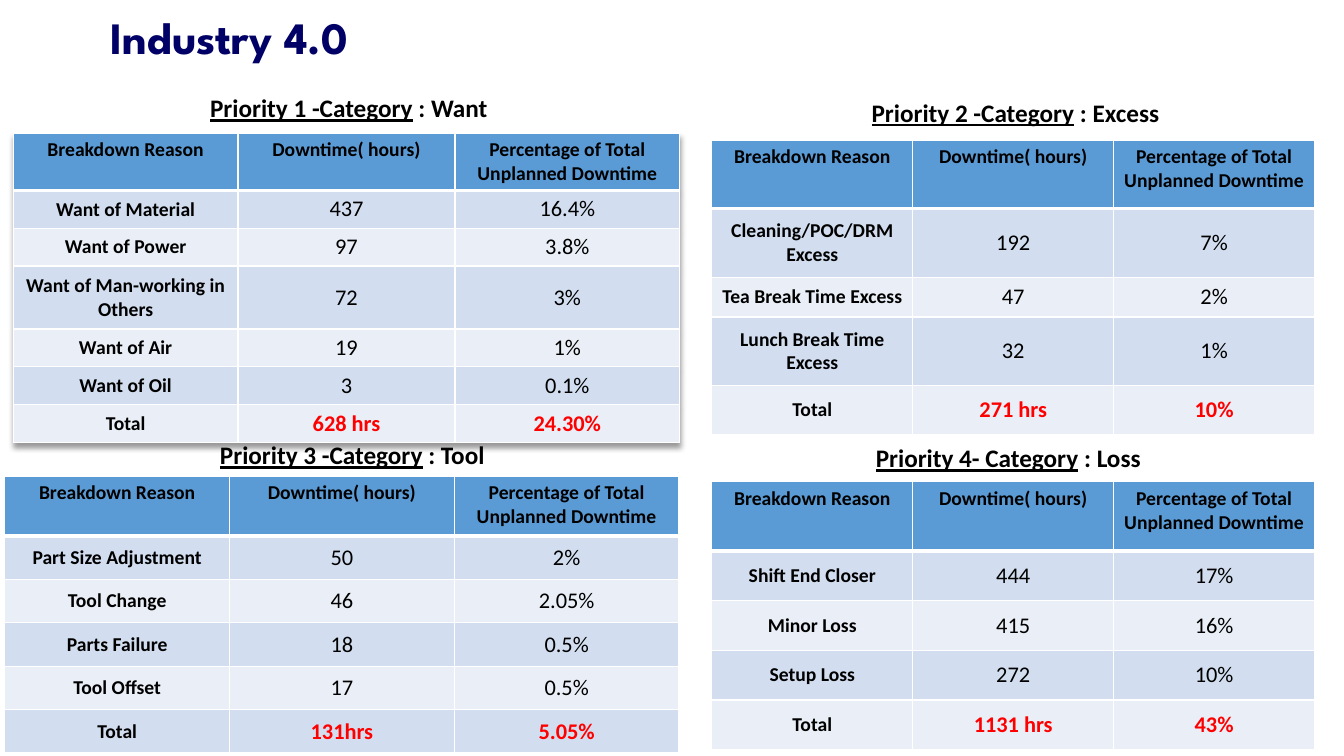
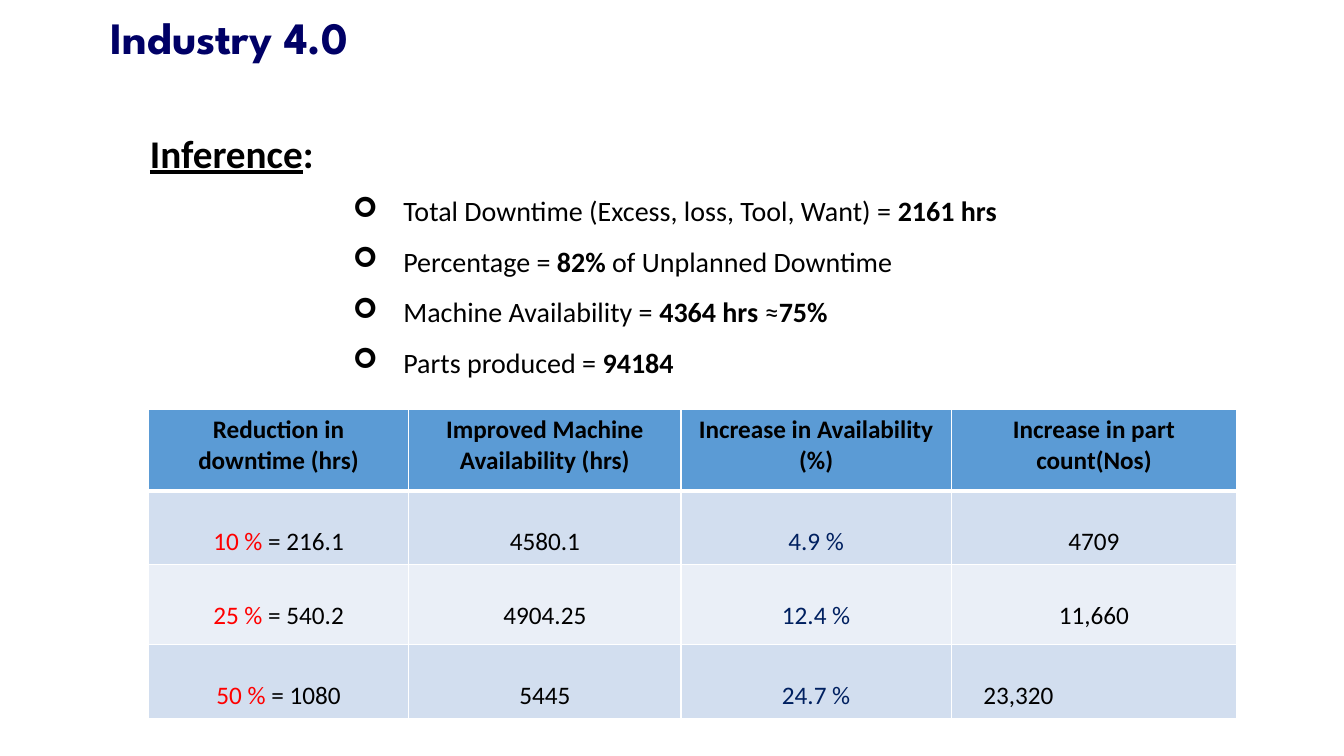
from lxml import etree
from pptx import Presentation
from pptx.dml.color import RGBColor
from pptx.enum.text import MSO_ANCHOR, PP_ALIGN
from pptx.oxml.ns import qn
from pptx.util import Pt

TOP, MIDDLE = MSO_ANCHOR.TOP, MSO_ANCHOR.MIDDLE
LEFT, CENTER = PP_ALIGN.LEFT, PP_ALIGN.CENTER
BLANK_LAYOUT = 6

COLORS = {
    "title": "000066",
    "text": "000000",
    "red": "FF0000",
    "navy": "002060",
    "header": "5B9BD5",
    "odd_row": "D2DEEF",
    "even_row": "EAEFF7",
    "border": "FFFFFF",
}
BODY_FONT, TITLE_FONT = "Calibri", "League Spartan"
DOWNTIME_HEADER = ["Breakdown Reason", "Downtime( hours)",
                   "Percentage of Total Unplanned Downtime"]

# Heading: left, top, width, underlined text, rest.
# Table: left, top, column widths, row heights, rows.
PRIORITIES = [
    {
        "heading": (143, 62.5, 236, "Priority 1 -Category", " : Want"),
        "table": (9.5, 95, [160.5, 155, 160.5], [41, 27, 27, 45, 27, 27, 27]),
        "rows": [("Want of Material", "437", "16.4%"),
                 ("Want of Power", "97", "3.8%"),
                 ("Want of Man-working in Others", "72", "3%"),
                 ("Want of Air", "19", "1%"),
                 ("Want of Oil", "3", "0.1%"),
                 ("Total", "628 hrs", "24.30%")],
        "shadow": True,
    },
    {
        "heading": (615.5, 66, 224, "Priority 2 -Category", " : Excess"),
        "table": (508.5, 100, [143.5] * 3, [49, 49, 28.5, 49, 35]),
        "rows": [("Cleaning/POC/DRM Excess", "192", "7%"),
                 ("Tea Break Time Excess", "47", "2%"),
                 ("Lunch Break Time Excess", "32", "1%"),
                 ("Total", "271 hrs", "10%")],
    },
    {
        "heading": (150, 310.5, 223, "Priority 3 -Category", " : Tool"),
        "table": (3.5, 340, [160.5] * 3, [43] + [31] * 5),
        "rows": [("Part Size Adjustment", "50", "2%"),
                 ("Tool Change", "46", "2.05%"),
                 ("Parts Failure", "18", "0.5%"),
                 ("Tool Offset", "17", "0.5%"),
                 ("Total", "131hrs", "5.05%")],
    },
    {
        "heading": (618.5, 312.5, 249, "Priority 4- Category", " : Loss"),
        "table": (508.5, 344, [143.5] * 3, [49.5] + [35.5] * 4),
        "rows": [("Shift End Closer", "444", "17%"),
                 ("Minor Loss", "415", "16%"),
                 ("Setup Loss", "272", "10%"),
                 ("Total", "1131 hrs", "43%")],
    },
]

# Each finding is a list of (text, bold) pairs
FINDINGS = [
    [("Total Downtime (Excess, loss, Tool, Want) = ", False), ("2161 hrs", True)],
    [("Percentage = ", False), ("82% ", True), ("of Unplanned Downtime", False)],
    [("Machine Availability = ", False), ("4364 hrs ", True), ("≈", False),
     ("75%", True)],
    [("Parts produced = ", False), ("94184", True)],
]

GAIN_HEADER = ["Reduction in downtime (hrs)", "Improved Machine Availability (hrs)",
               "Increase in Availability (%)", "Increase in part count(Nos)"]
GAINS = [
    ("10 %", " = 216.1", "4580.1", "4.9 %", "4709"),
    ("25 %", " = 540.2", "4904.25", "12.4 %", "11,660"),
    ("50 %", " = 1080", "5445", "24.7 %", "23,320"),
]


# Text
def add_run(paragraph, text, size, bold=False, color="text", underline=False,
            font=BODY_FONT):
    run = paragraph.add_run()
    run.text = text
    run.font.name = font
    run.font.size = Pt(size)
    run.font.bold = bold
    run.font.underline = underline
    run.font.color.rgb = RGBColor.from_string(COLORS[color])


def add_text_frame(slide, left, top, width, height, anchor=TOP):
    box = slide.shapes.add_textbox(Pt(left), Pt(top), Pt(width), Pt(height))
    frame = box.text_frame
    frame.word_wrap = True
    frame.vertical_anchor = anchor
    return frame


def add_title(slide):
    paragraph = add_text_frame(slide, 72, 0, 792, 57.5, MIDDLE).paragraphs[0]
    paragraph.line_spacing = 0.9
    add_run(paragraph, "Industry 4.0", 32, True, "title", font=TITLE_FONT)


def add_heading(slide, left, top, width, underlined, rest, size=18):
    paragraph = add_text_frame(slide, left, top, width, size * 1.6).paragraphs[0]
    add_run(paragraph, underlined, size, True, underline=True)
    add_run(paragraph, rest, size, True)


def add_arrow_bullet(paragraph, indent):
    properties = paragraph._p.get_or_add_pPr()
    properties.set("marL", str(Pt(indent)))
    properties.set("indent", str(-Pt(indent)))
    etree.SubElement(properties, qn("a:buFont"), typeface="Wingdings")
    etree.SubElement(properties, qn("a:buChar"), char="➢")


def add_findings(slide):
    frame = add_text_frame(slide, 245, 135, 600, 150)
    for index, parts in enumerate(FINDINGS):
        paragraph = frame.add_paragraph() if index else frame.paragraphs[0]
        paragraph.space_after = Pt(12)
        add_arrow_bullet(paragraph, 36)
        for text, bold in parts:
            add_run(paragraph, text, 20, bold)


# Tables
def add_color(parent, color):
    fill = etree.SubElement(parent, qn("a:solidFill"))
    return etree.SubElement(fill, qn("a:srgbClr"), val=COLORS[color])


def set_borders(cell, top, bottom):
    properties = cell._tc.get_or_add_tcPr()
    for side, width in (("L", 1), ("R", 1), ("T", top), ("B", bottom)):
        line = etree.SubElement(properties, qn("a:ln" + side), w=str(Pt(width)))
        add_color(line, "border")


def add_table(slide, left, top, widths, heights):
    """Add an empty table with a header row, banded rows and white borders."""
    frame = slide.shapes.add_table(len(heights), len(widths), Pt(left), Pt(top),
                                   Pt(sum(widths)), Pt(sum(heights)))
    table = frame.table
    table.horz_banding = False
    for column, width in zip(table.columns, widths):
        column.width = Pt(width)
    for index, (row, height) in enumerate(zip(table.rows, heights)):
        row.height = Pt(height)
        band = "odd_row" if index % 2 else "even_row"
        for cell in row.cells:
            set_borders(cell, 3 if index == 1 else 1, 1 if index else 3)
            cell.fill.solid()
            cell.fill.fore_color.rgb = RGBColor.from_string(
                COLORS[band if index else "header"])
    return table


def write_cell(cell, runs, size, bold=False, anchor=TOP, spacing=None):
    """Write centred (text, color) runs into a cell."""
    cell.vertical_anchor = anchor
    paragraph = cell.text_frame.paragraphs[0]
    paragraph.alignment = CENTER
    paragraph.line_spacing = spacing
    for text, color in runs:
        add_run(paragraph, text, size, bold, color)


def write_header(table, labels, size):
    for cell, label in zip(table.rows[0].cells, labels):
        write_cell(cell, [(label, "text")], size, True)


def add_table_shadow(table):
    effects = etree.Element(qn("a:effectLst"))
    shadow = etree.SubElement(effects, qn("a:outerShdw"), blurRad=str(Pt(4)),
                              dist=str(Pt(3)), dir="5400000", algn="t")
    black = etree.SubElement(shadow, qn("a:srgbClr"), val=COLORS["text"])
    etree.SubElement(black, qn("a:alpha"), val="40000")
    table._tbl.tblPr.insert(0, effects)


def add_priority(slide, priority):
    table = add_table(slide, *priority["table"])
    write_header(table, DOWNTIME_HEADER, 14)
    for index, (reason, *values) in enumerate(priority["rows"], start=1):
        is_total = reason == "Total"
        write_cell(table.cell(index, 0), [(reason, "text")], 14, True, MIDDLE)
        for column, value in enumerate(values, start=1):
            color = "red" if is_total else "text"
            write_cell(table.cell(index, column), [(value, color)], 16,
                       is_total, MIDDLE)
    if priority.get("shadow"):
        add_table_shadow(table)
    add_heading(slide, *priority["heading"])


def add_gains(slide):
    table = add_table(slide, 106, 292.5, [186, 194.5, 193, 204],
                      [58, 53, 57, 53])
    write_header(table, GAIN_HEADER, 18)
    for index, (share, hours, available, increase, parts) in enumerate(GAINS, start=1):
        row = [[(share, "red"), (hours, "text")], [(available, "text")],
               [(increase, "navy")], [(parts, "text")]]
        for cell, runs in zip(table.rows[index].cells, row):
            write_cell(cell, runs, 18, spacing=2.0)
    # The last part count stands at the left of its cell
    last_count = table.cell(len(GAINS), 3)
    last_count.margin_left = Pt(23)
    last_count.text_frame.paragraphs[0].alignment = LEFT


# Slides
def add_slide(presentation):
    slide = presentation.slides.add_slide(presentation.slide_layouts[BLANK_LAYOUT])
    add_title(slide)
    return slide


def main():
    presentation = Presentation()
    presentation.slide_width, presentation.slide_height = Pt(960), Pt(540)

    # Downtime by priority
    downtime = add_slide(presentation)
    for priority in PRIORITIES:
        add_priority(downtime, priority)

    # Inference
    inference = add_slide(presentation)
    add_heading(inference, 100, 88.5, 204, "Inference", ":", 28)
    add_findings(inference)
    add_gains(inference)

    presentation.save("out.pptx")


if __name__ == "__main__":
    main()
